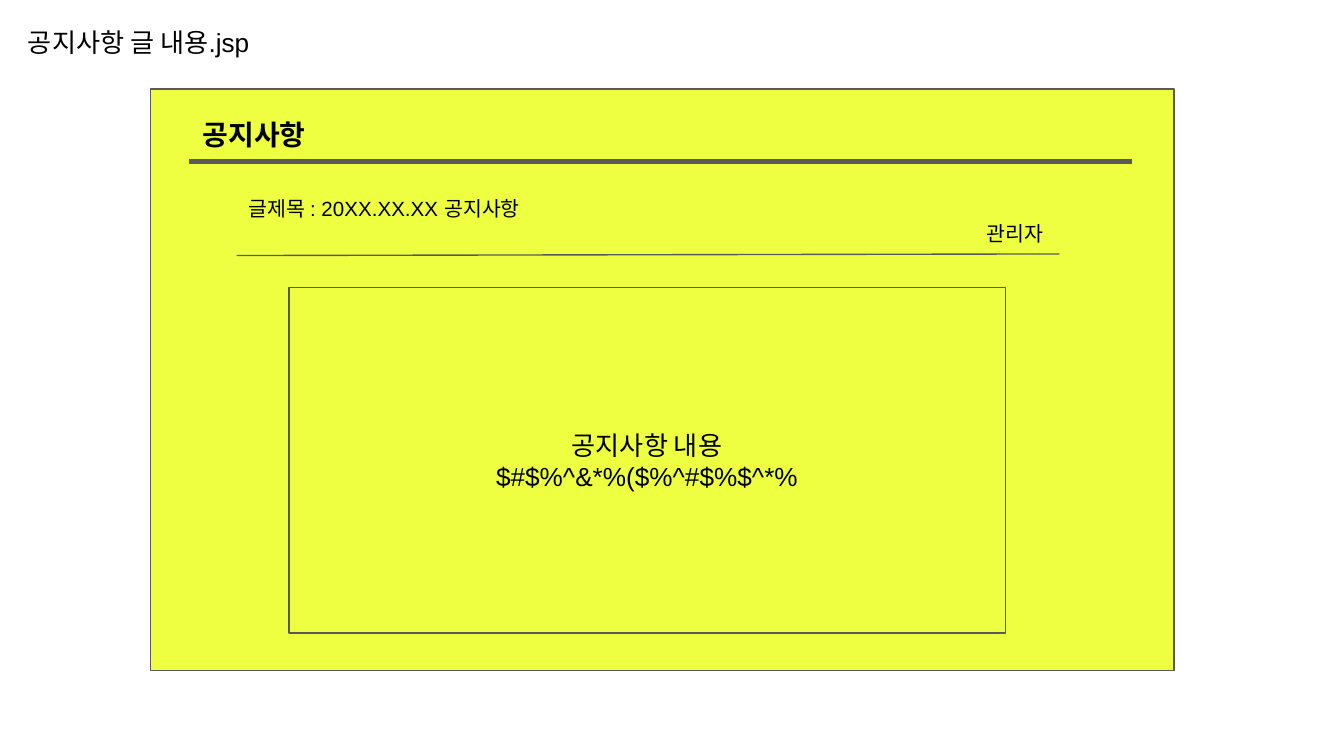
from lxml.etree import SubElement
from pptx import Presentation
from pptx.dml.color import RGBColor
from pptx.enum.shapes import MSO_CONNECTOR as CONN, MSO_SHAPE as SHAPE
from pptx.enum.text import MSO_ANCHOR as ANCHOR, PP_ALIGN as ALIGN
from pptx.oxml.ns import qn
from pptx.util import Cm, Pt

COLORS = {"panel": "EEFF41", "line": "595959", "text": "000000"}
FONT = "Arial"
INSET = Cm(0.25)


def color(name):
    return RGBColor.from_string(COLORS[name])


def style_line(line, width):
    line.color.rgb = color("line")
    line.width = Pt(width)


def write(tf, lines, size, bold=False, align=ALIGN.LEFT):
    """Fill a text frame with one paragraph per line."""
    tf.word_wrap = True
    tf.margin_left = tf.margin_right = INSET
    tf.margin_top = tf.margin_bottom = INSET
    for i, text in enumerate(lines):
        p = tf.add_paragraph() if i else tf.paragraphs[0]
        p.alignment = align
        r = p.add_run()
        r.text = text
        r.font.name = FONT
        r.font.size = Pt(size)
        r.font.bold = bold
        r.font.color.rgb = color("text")


def add_label(s, box, text, size, bold=False):
    sp = s.shapes.add_textbox(*map(Cm, box))
    write(sp.text_frame, [text], size, bold)


def add_box(s, box, fill=None):
    sp = s.shapes.add_shape(SHAPE.RECTANGLE, *map(Cm, box))
    sp.shadow.inherit = False
    if fill:
        sp.fill.solid()
        sp.fill.fore_color.rgb = color(fill)
    else:
        sp.fill.background()
    style_line(sp.line, 0.75)
    return sp


def add_rule(s, ends, width):
    rule = s.shapes.add_connector(CONN.STRAIGHT, *map(Cm, ends))
    style_line(rule.line, width)
    SubElement(rule._element.spPr, qn("a:effectLst"))


def main():
    prs = Presentation()
    prs.slide_width, prs.slide_height = Cm(25.4), Cm(14.29)
    s = prs.slides.add_slide(prs.slide_layouts[6])

    add_box(s, (2.84, 1.68, 19.35, 11), "panel")
    add_label(s, (0.28, 0.25, 5.23, 1.12), "공지사항 글 내용.jsp", 14)

    add_rule(s, (3.58, 3.05, 21.39, 3.05), 3)
    add_label(s, (3.58, 1.98, 2.9, 1.14), "공지사항", 15, bold=True)

    add_label(s, (4.45, 3.48, 7.34, 0.99), "글제목 : 20XX.XX.XX 공지사항", 11)
    add_rule(s, (4.47, 4.83, 20.02, 4.8), 0.75)
    add_label(s, (18.39, 3.94, 1.98, 0.99), "관리자", 11)

    content = add_box(s, (5.46, 5.44, 13.54, 6.53))
    tf = content.text_frame
    tf.vertical_anchor = ANCHOR.MIDDLE
    write(tf, ["공지사항 내용", "$#$%^&*%($%^#$%$^*%"], 14, align=ALIGN.CENTER)

    prs.save("out.pptx")


if __name__ == "__main__":
    main()
